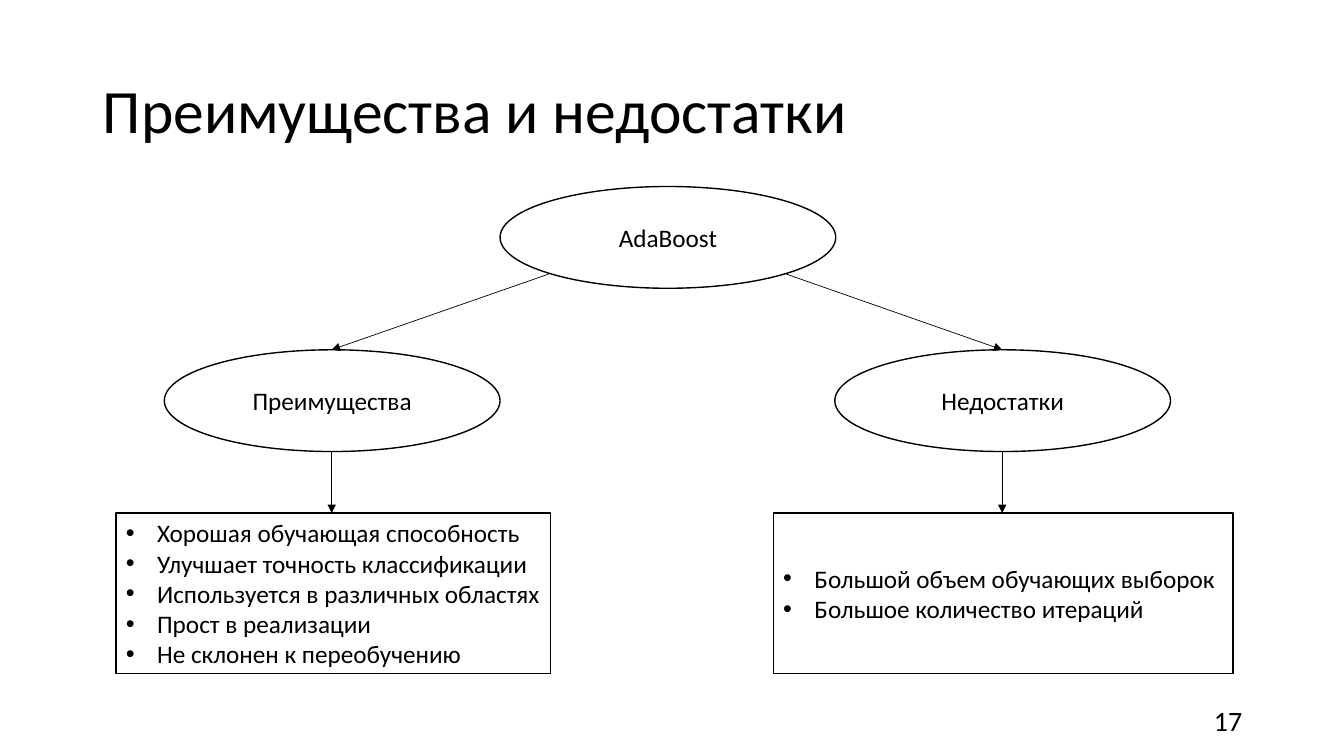
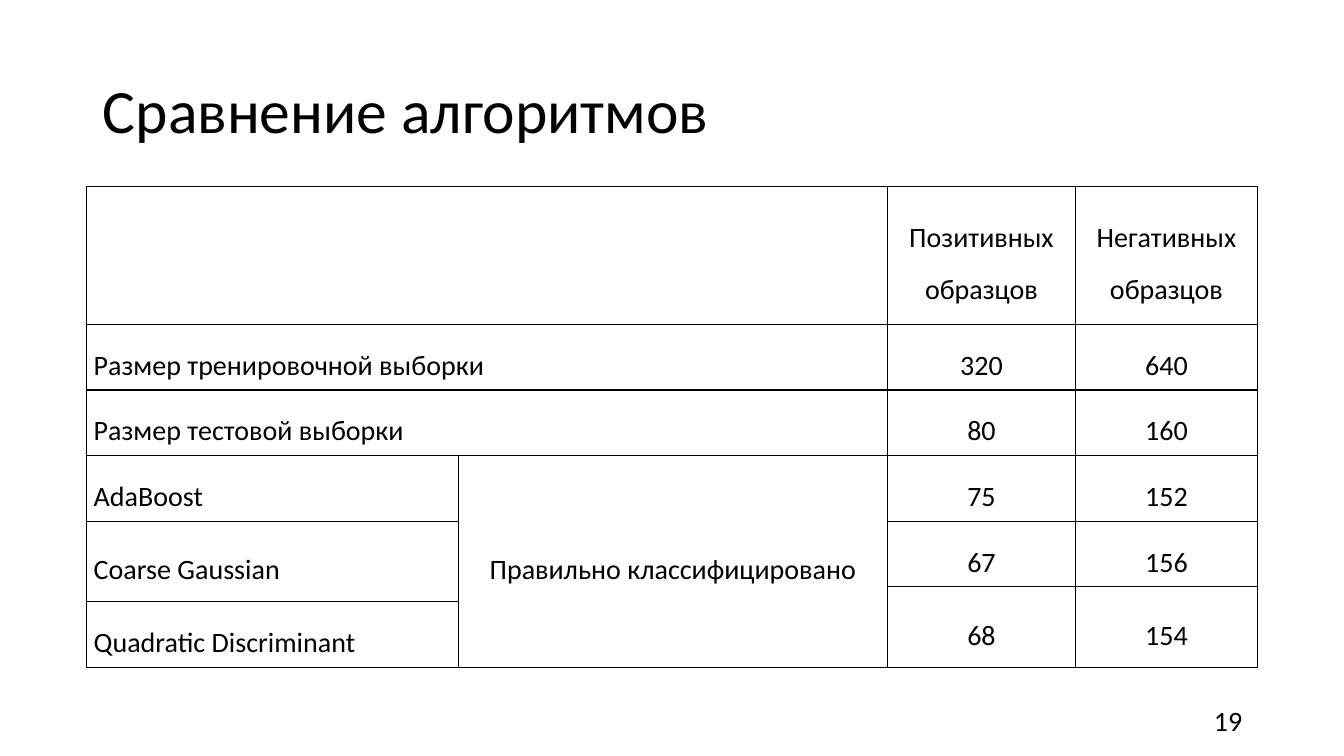
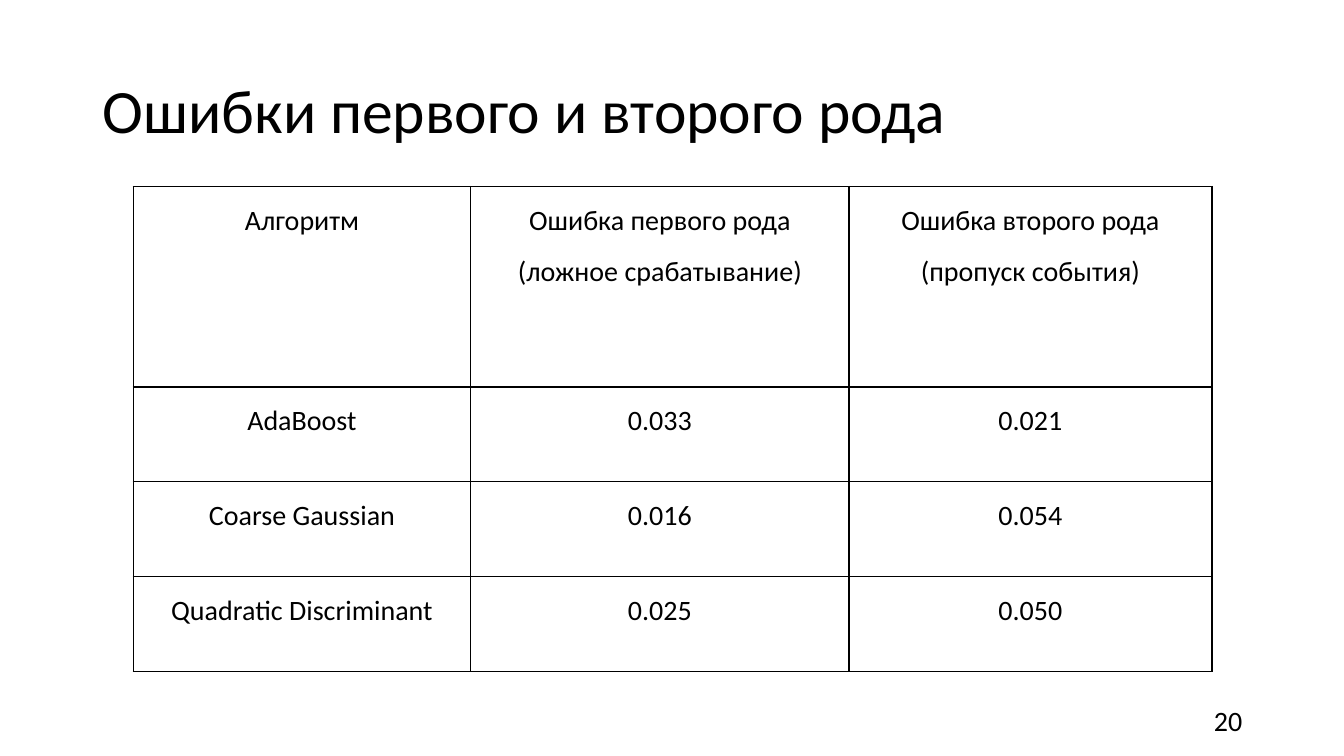
"""Build three slides on AdaBoost: pros and cons, comparison, error rates."""
from lxml import etree
from pptx import Presentation
from pptx import util as u
from pptx.dml.color import RGBColor
from pptx.enum import shapes, text
from pptx.oxml.ns import qn

PX = u.Inches(1) // 100
BLACK = RGBColor(0x00, 0x00, 0x00)
WHITE = RGBColor(0xFF, 0xFF, 0xFF)
FONT = "Calibri"
LEFT, CENTER, RIGHT, JUSTIFY = (
    text.PP_ALIGN.LEFT, text.PP_ALIGN.CENTER, text.PP_ALIGN.RIGHT, text.PP_ALIGN.JUSTIFY)
MIDDLE, TOP = text.MSO_ANCHOR.MIDDLE, text.MSO_ANCHOR.TOP


def write(frame, lines, size, align, spacing=1.0, after=0):
    frame.word_wrap = True
    for index, line in enumerate(lines):
        para = frame.add_paragraph() if index else frame.paragraphs[0]
        para.alignment = align
        para.line_spacing = spacing
        para.space_before = u.Pt(0)
        para.space_after = u.Pt(after)
        span = para.add_run()
        span.text = line
        span.font.name = FONT
        span.font.size = u.Pt(size)
        span.font.color.rgb = BLACK


def add_box(page, kind, left, top, width, height, lines, align):
    box = page.shapes.add_shape(kind, left * PX, top * PX, width * PX, height * PX)
    box.shadow.inherit = False
    box.fill.solid()
    box.fill.fore_color.rgb = WHITE
    box.line.color.rgb = BLACK
    box.line.width = u.Pt(1)
    box.text_frame.vertical_anchor = MIDDLE
    write(box.text_frame, lines, 18, align)
    return box


deck = Presentation()
deck.slide_width, deck.slide_height = 1333 * PX, 750 * PX

pages = []
for heading, number in [
    ("Преимущества и недостатки", "17"),
    ("Сравнение алгоритмов", "19"),
    ("Ошибки первого и второго рода", "20"),
]:
    page = deck.slides.add_slide(deck.slide_layouts[5])
    title = page.shapes.title
    title.left, title.top, title.width, title.height = 92 * PX, 40 * PX, 1150 * PX, 145 * PX
    title.text_frame.vertical_anchor = MIDDLE
    write(title.text_frame, [heading], 44, LEFT, 0.9)
    footer = page.shapes.add_textbox(942 * PX, 695 * PX, 300 * PX, 40 * PX)
    footer.text_frame.vertical_anchor = MIDDLE
    write(footer.text_frame, [number], 20, RIGHT)
    pages.append(page)
pros_page, comparison_page, errors_page = pages

OVAL, RECTANGLE = shapes.MSO_SHAPE.OVAL, shapes.MSO_SHAPE.RECTANGLE
OVAL_WIDTH, OVAL_HEIGHT = 333, 101
ROOT_TOP, BRANCH_TOP, LIST_TOP = 185, 347, 509
add_box(pros_page, OVAL, 496, ROOT_TOP, OVAL_WIDTH, OVAL_HEIGHT, ["AdaBoost"], CENTER)
branches = [
    ("Преимущества", 163, 544, 115, 431, [
        "Хорошая обучающая способность",
        "Улучшает точность классификации",
        "Используется в различных областях",
        "Прост в реализации",
        "Не склонен к переобучению",
    ]),
    ("Недостатки", 828, 780, 767, 456, [
        "Большой объем обучающих выборок",
        "Большое количество итераций",
    ]),
]
for label, oval_left, root_exit, list_left, list_width, points in branches:
    add_box(pros_page, OVAL, oval_left, BRANCH_TOP, OVAL_WIDTH, OVAL_HEIGHT, [label], CENTER)
    points_box = add_box(
        pros_page, RECTANGLE, list_left, LIST_TOP, list_width, 159, points, JUSTIFY)
    for para in points_box.text_frame.paragraphs:
        props = para._p.get_or_add_pPr()
        props.set("marL", str(31 * PX))
        props.set("indent", str(-31 * PX))
        etree.SubElement(props, qn("a:buFont")).set("typeface", "Arial")
        etree.SubElement(props, qn("a:buChar")).set("char", "•")
    center = oval_left + OVAL_WIDTH // 2
    for start_x, start_y, end_y in [
        (root_exit, 272, BRANCH_TOP),
        (center, BRANCH_TOP + OVAL_HEIGHT, LIST_TOP),
    ]:
        arrow = pros_page.shapes.add_connector(
            shapes.MSO_CONNECTOR.STRAIGHT, start_x * PX, start_y * PX, center * PX, end_y * PX)
        arrow.line.color.rgb = BLACK
        arrow.line.width = u.Pt(0.5)
        etree.SubElement(arrow.line._get_or_add_ln(), qn("a:tailEnd")).set("type", "triangle")
        etree.SubElement(arrow._element.spPr, qn("a:effectLst"))

comparison_rows = [
    ["", "", "Позитивных образцов", "Негативных образцов"],
    ["Размер тренировочной выборки", "", "320", "640"],
    ["Размер тестовой выборки", "", "80", "160"],
    ["AdaBoost", "Правильно классифицировано", "75", "152"],
    ["Coarse Gaussian", "", "67", "156"],
    ["", "", "68", "154"],
    ["Quadratic Discriminant", "", "", ""],
]
comparison_merges = [
    (0, 0, 0, 1), (1, 0, 1, 1), (2, 0, 2, 1), (3, 1, 6, 1),
    (4, 0, 5, 0), (5, 2, 6, 2), (5, 3, 6, 3),
]
error_rows = [
    ["Алгоритм", "Ошибка первого рода (ложное срабатывание)",
     "Ошибка второго рода (пропуск события)"],
    ["AdaBoost", "0.033", "0.021"],
    ["Coarse Gaussian", "0.016", "0.054"],
    ["Quadratic Discriminant", "0.025", "0.050"],
]
tables = [
    (comparison_page, 86, [369, 425, 187, 180], [137, 65, 65, 65, 65, 15, 65],
     comparison_rows, comparison_merges, JUSTIFY, MIDDLE),
    (errors_page, 132, [335, 375, 360], [199, 94, 94, 94],
     error_rows, [], CENTER, TOP),
]
for page, left, widths, heights, rows, merges, first_align, anchor in tables:
    table = page.shapes.add_table(
        len(heights), len(widths), left * PX, 185 * PX,
        sum(widths) * PX, sum(heights) * PX).table
    table.first_row = table.horz_banding = False
    for column, width in zip(table.columns, widths):
        column.width = width * PX
    for row, height in zip(table.rows, heights):
        row.height = height * PX
    for top_row, left_column, bottom_row, right_column in merges:
        table.cell(top_row, left_column).merge(table.cell(bottom_row, right_column))
    for row_index, row in enumerate(rows):
        for column_index, value in enumerate(row):
            cell = table.cell(row_index, column_index)
            cell.margin_left = cell.margin_right = 7 * PX
            cell.margin_top = cell.margin_bottom = 0
            cell.vertical_anchor = anchor
            props = cell._tc.get_or_add_tcPr()
            for side in ("a:lnL", "a:lnR", "a:lnT", "a:lnB"):
                border = etree.SubElement(props, qn(side), w=str(u.Pt(1)))
                paint = etree.SubElement(border, qn("a:solidFill"))
                etree.SubElement(paint, qn("a:srgbClr")).set("val", str(BLACK))
            cell.fill.background()
            if value:
                align = CENTER if column_index else first_align
                write(cell.text_frame, [value], 20, align, 1.5, 6)

deck.save("out.pptx")
